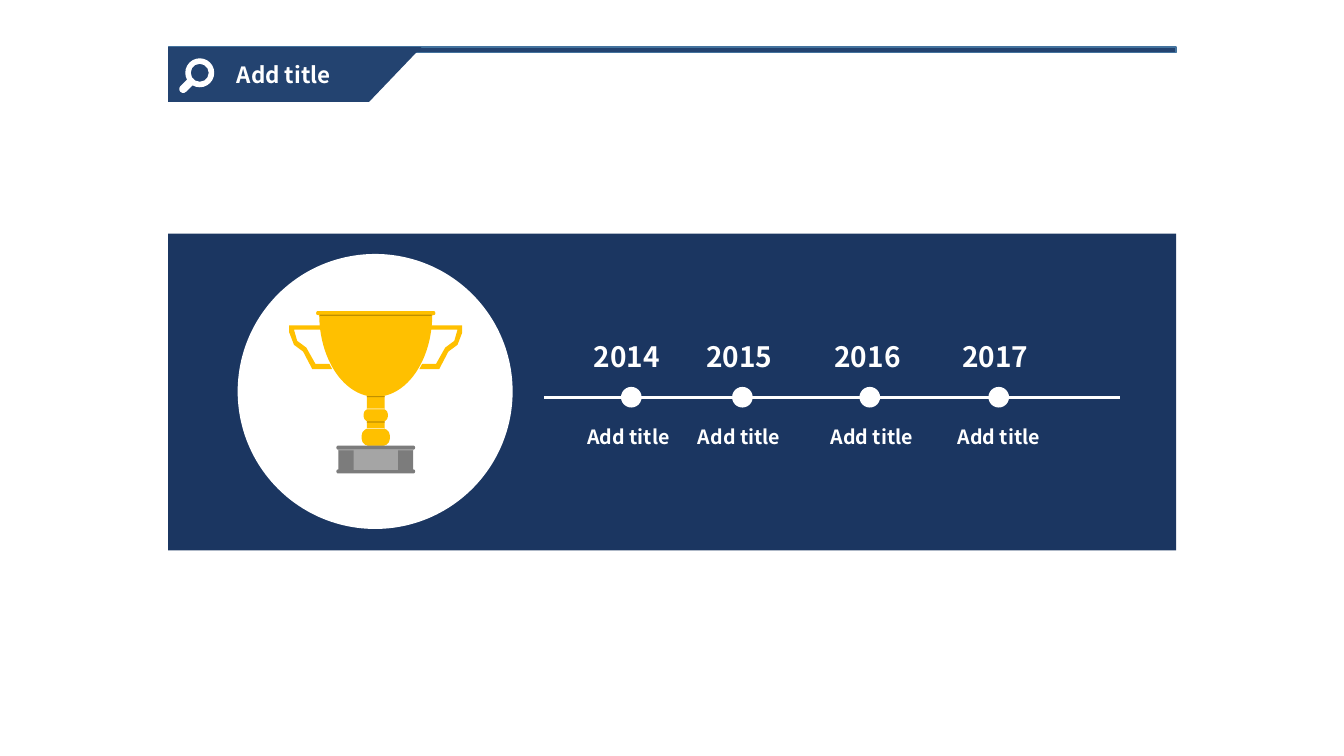
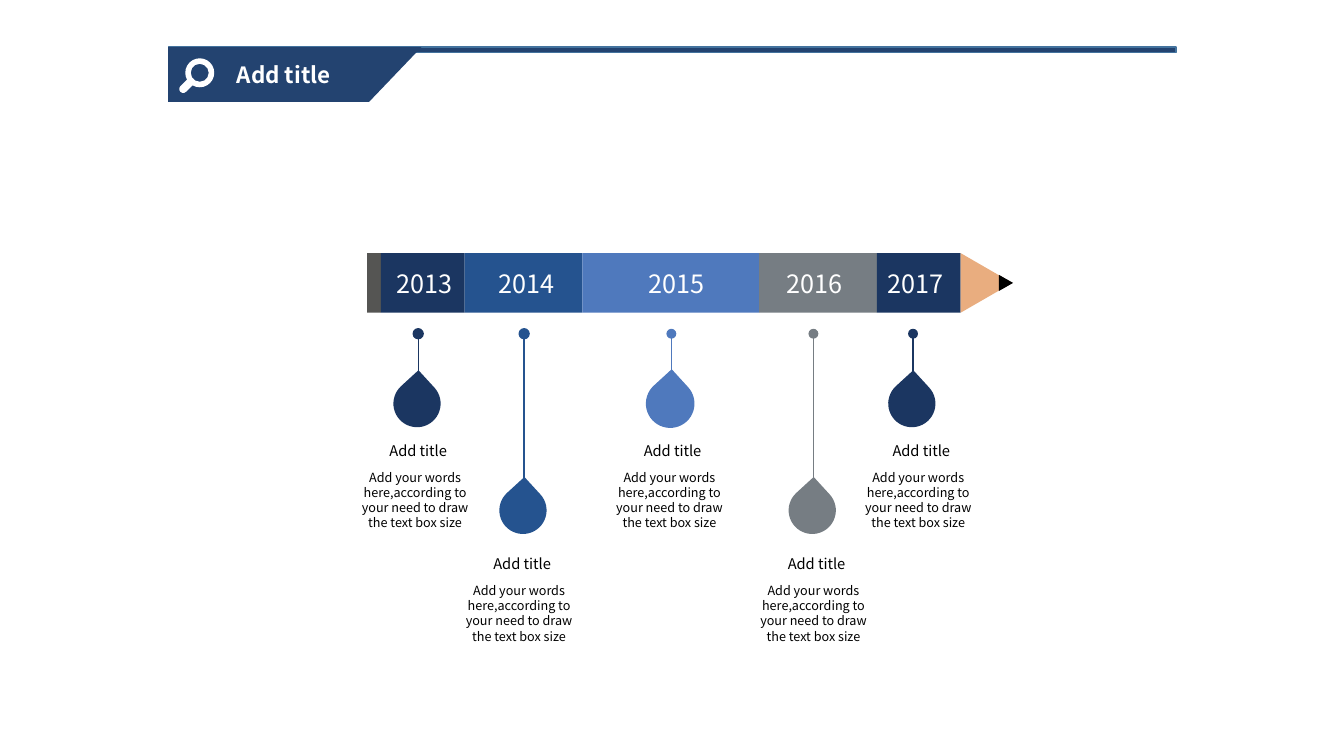
"""Builds two timeline slides: a trophy band and a pencil."""
from lxml import etree
from pptx import Presentation
from pptx import util as u
from pptx.dml.color import RGBColor
from pptx.enum import shapes, text
from pptx.oxml.ns import qn

FONT = "Noto Sans CJK SC"
WHITE = RGBColor(0xFF, 0xFF, 0xFF)
BLACK = RGBColor(0x00, 0x00, 0x00)
BANNER = RGBColor(0x23, 0x43, 0x70)
BANNER_EDGE = RGBColor(0x43, 0x73, 0x9E)
NAVY = RGBColor(0x1B, 0x36, 0x61)
BLUE = RGBColor(0x25, 0x53, 0x8F)
SKY = RGBColor(0x4F, 0x79, 0xBD)
SLATE = RGBColor(0x76, 0x7D, 0x83)
CHARCOAL = RGBColor(0x55, 0x55, 0x53)
WOOD = RGBColor(0xE9, 0xAD, 0x7F)
GOLD = RGBColor(0xFF, 0xC0, 0x00)
DARK_GOLD = RGBColor(0xBF, 0x90, 0x00)
PALE_GOLD = RGBColor(0xFF, 0xE6, 0x99)
GREY = RGBColor(0x7C, 0x7C, 0x7C)
LIGHT_GREY = RGBColor(0xA5, 0xA5, 0xA5)

KIND = shapes.MSO_SHAPE
ALIGN = text.PP_ALIGN
ANCHOR = text.MSO_ANCHOR
HEADING = "Add title"
BODY = "Add your words here,according to your need to draw the text box size"


def write(frame, content, *, size, color, bold=False, align=ALIGN.LEFT, anchor=ANCHOR.TOP):
    """Put one formatted paragraph into a text frame."""
    frame.word_wrap = True
    frame.auto_size = text.MSO_AUTO_SIZE.NONE
    frame.vertical_anchor = anchor
    frame.margin_left = frame.margin_right = u.Cm(0.25)
    frame.margin_top = frame.margin_bottom = u.Cm(0.13)
    frame.text = content
    paragraph = frame.paragraphs[0]
    paragraph.alignment = align
    font = paragraph.runs[0].font
    font.name, font.size, font.bold = FONT, u.Pt(size), bold
    font.color.rgb = color


class Deck:
    """Holds the presentation, its style and the current slide."""

    def __init__(self):
        self.presentation = Presentation()
        self.presentation.slide_width = u.Cm(33.87)
        self.presentation.slide_height = u.Cm(19.05)
        self.slide = None

    def paint(self, shape, fill, line=None):
        """Give a shape a flat fill and an optional outline."""
        shape.shadow.inherit = False
        shape.fill.solid()
        shape.fill.fore_color.rgb = fill
        if line is None:
            shape.line.fill.background()
        else:
            shape.line.color.rgb = line
            shape.line.width = u.Pt(1)
        return shape

    def shape(self, kind, left, top, width, height, fill, line=None, rotation=0):
        """Add a preset shape."""
        shape = self.slide.shapes.add_shape(
            kind, u.Cm(left), u.Cm(top), u.Cm(width), u.Cm(height))
        shape.rotation = rotation
        return self.paint(shape, fill, line)

    def centred(self, kind, x, y, width, height, fill, line=None, rotation=0):
        """Add a preset shape around a centre point."""
        return self.shape(kind, x - width / 2, y - height / 2,
                          width, height, fill, line, rotation)

    def outline(self, points, fill):
        """Add a closed polygon."""
        corners = [(u.Cm(x), u.Cm(y)) for x, y in points]
        builder = self.slide.shapes.build_freeform(*corners[0])
        builder.add_line_segments(corners[1:], close=True)
        return self.paint(builder.convert_to_shape(), fill)

    def line(self, start, end, color, width):
        """Add a straight line."""
        connector = self.slide.shapes.add_connector(
            shapes.MSO_CONNECTOR.STRAIGHT, *(u.Cm(value) for value in (*start, *end)))
        connector.line.color.rgb = color
        connector.line.width = u.Pt(width)
        etree.SubElement(connector._element.spPr, qn("a:effectLst"))

    def label(self, left, top, width, height, content, **style):
        """Add a text box."""
        box = self.slide.shapes.add_textbox(
            u.Cm(left), u.Cm(top), u.Cm(width), u.Cm(height))
        write(box.text_frame, content, **style)

    def start(self, heading):
        """Add a slide with its banner, search icon and title."""
        self.slide = self.presentation.slides.add_slide(self.presentation.slide_layouts[5])
        self.shape(KIND.RECTANGLE, 4.24, 1.19, 25.4, 0.13, BANNER, BANNER_EDGE)
        self.outline([(4.24, 1.19), (10.62, 1.19), (9.3, 2.57), (4.24, 2.57)], BANNER)
        lens = self.shape(KIND.DONUT, 4.67, 1.47, 0.73, 0.73, WHITE)
        lens.adjustments[0] = 0.19
        handle = self.centred(KIND.ROUNDED_RECTANGLE, 4.71, 2.15, 0.46, 0.2, WHITE, rotation=315)
        handle.adjustments[0] = 0.5
        title = self.slide.shapes.title
        title.left, title.top, title.width, title.height = map(u.Cm, (5.72, 1.42, 3.43, 0.94))
        write(title.text_frame, heading, size=16, color=WHITE, bold=True, anchor=ANCHOR.MIDDLE)
        self.slide.shapes._spTree.append(title._element)

    def trophy(self, axis):
        """Draw a cup on a base, symmetrical about a vertical axis."""
        handle = [(1.35, 8.2), (2.18, 8.2), (2.18, 8.38), (2.06, 8.69), (1.83, 8.86),
                  (1.6, 9.3), (1.1, 9.3), (1.17, 9.17), (1.52, 9.17), (1.75, 8.76),
                  (1.98, 8.59), (2.06, 8.31), (1.35, 8.31)]
        for side in (-1, 1):
            self.outline([(axis + side * x, y) for x, y in handle], GOLD)
        bowl = self.centred(KIND.CHORD, axis, 7.92, 2.85, 4.16, GOLD)
        bowl.adjustments[0], bowl.adjustments[1] = 0, 108
        parts = [
            (KIND.ROUNDED_RECTANGLE, 3, 7.84, 0.1, GOLD),
            (KIND.RECTANGLE, 0.45, 9.98, 1.25, GOLD),
            (KIND.ROUNDED_RECTANGLE, 0.61, 10.31, 0.31, GOLD),
            (KIND.ROUNDED_RECTANGLE, 0.71, 10.8, 0.43, GOLD),
            (KIND.RECTANGLE, 2.82, 7.93, 0.03, DARK_GOLD),
            (KIND.RECTANGLE, 0.45, 9.98, 0.03, DARK_GOLD),
            (KIND.RECTANGLE, 0.45, 10.29, 0.03, PALE_GOLD),
            (KIND.RECTANGLE, 0.45, 10.62, 0.03, DARK_GOLD),
            (KIND.RECTANGLE, 0.45, 10.79, 0.02, PALE_GOLD),
            (KIND.ROUNDED_RECTANGLE, 1.98, 11.23, 0.1, GREY),
            (KIND.RECTANGLE, 1.88, 11.33, 0.51, GREY),
            (KIND.ROUNDED_RECTANGLE, 1.98, 11.83, 0.1, GREY),
            (KIND.RECTANGLE, 1.12, 11.33, 0.51, LIGHT_GREY),
            (KIND.RECTANGLE, 1.88, 11.33, 0.02, LIGHT_GREY),
        ]
        for kind, width, top, height, fill in parts:
            part = self.shape(kind, axis - width / 2, top, width, height, fill)
            if kind == KIND.ROUNDED_RECTANGLE:
                part.adjustments[0] = 0.4

    def milestone(self, year, dot_x, year_left, label_x):
        """Add one dated dot to the white timeline."""
        self.centred(KIND.OVAL, dot_x, 10.01, 0.52, 0.52, WHITE)
        self.label(year_left, 8.43, 2.64, 1.12, year, size=20, color=WHITE, bold=True)
        self.label(label_x - 1.75, 10.44, 3.5, 1.14, HEADING, size=14, color=WHITE,
                   bold=True, align=ALIGN.CENTER, anchor=ANCHOR.MIDDLE)

    def pendant(self, x, text_x, color, low, outlined):
        """Hang a drop and its caption below the pencil."""
        dot_y, drop_y, title_y = 8.41, 10.17, 11.0
        if low:
            drop_y, title_y = drop_y + 2.69, title_y + 2.85
        self.centred(KIND.FLOWCHART_CONNECTOR, x, dot_y, 0.25, 0.25, color,
                     color if outlined == "dot" else None)
        self.line((x, dot_y), (x, drop_y - 0.77), color, 1)
        self.centred(KIND.TEAR, x - 0.03, drop_y, 1.19, 1.19, color,
                     color if outlined == "drop" else None, rotation=317.5)
        style = {"color": BLACK, "align": ALIGN.CENTER}
        self.label(text_x - 1.85, title_y + 0.71, 3.7, 1.8, BODY, size=9, **style)
        self.label(text_x - 1.29, title_y, 2.74, 0.71, HEADING, size=10.5, **style)


def trophy_slide(deck):
    """Build the trophy band with its timeline."""
    deck.start(HEADING)
    deck.shape(KIND.RECTANGLE, 4.24, 5.89, 25.4, 7.98, NAVY)
    deck.shape(KIND.OVAL, 5.99, 6.4, 6.93, 6.93, WHITE)
    deck.trophy(9.47)
    deck.line((13.72, 10.01), (28.22, 10.01), WHITE, 2.25)
    for milestone in [("2014", 15.91, 14.71, 15.84), ("2015", 18.71, 17.55, 18.63),
                      ("2016", 21.92, 20.78, 21.97), ("2017", 25.17, 24, 25.17)]:
        deck.milestone(*milestone)


def pencil_slide(deck):
    """Build the pencil timeline with its hanging drops."""
    deck.start(HEADING)
    top, height = 6.38, 1.5
    edges = [9.25, 9.6, 11.71, 14.68, 19.13, 22.1, 24.21]
    colors = [CHARCOAL, NAVY, BLUE, SKY, SLATE, NAVY]
    for left, right, color in zip(edges, edges[1:], colors):
        deck.shape(KIND.RECTANGLE, left, top, right - left, height, color)
    middle = top + height / 2
    deck.centred(KIND.ISOSCELES_TRIANGLE, 24.86, middle, height, 1.3, WOOD, rotation=90)
    deck.centred(KIND.ISOSCELES_TRIANGLE, 25.35, middle, 0.41, 0.36, BLACK, rotation=90)
    for year, left in [("2013", 9.75), ("2014", 12.32), ("2015", 16.1),
                       ("2016", 19.58), ("2017", 22.12)]:
        deck.label(left, 6.63, 2.08, 1.02, year, size=18, color=WHITE)
    for pendant in [(10.54, 10.46, NAVY, False, "dot"), (13.21, 13.08, BLUE, True, "dot"),
                    (16.92, 16.87, SKY, False, "drop"), (20.5, 20.5, SLATE, True, None),
                    (23.01, 23.14, NAVY, False, None)]:
        deck.pendant(*pendant)


def main():
    """Build and save the presentation."""
    deck = Deck()
    trophy_slide(deck)
    pencil_slide(deck)
    deck.presentation.save("out.pptx")


if __name__ == "__main__":
    main()
